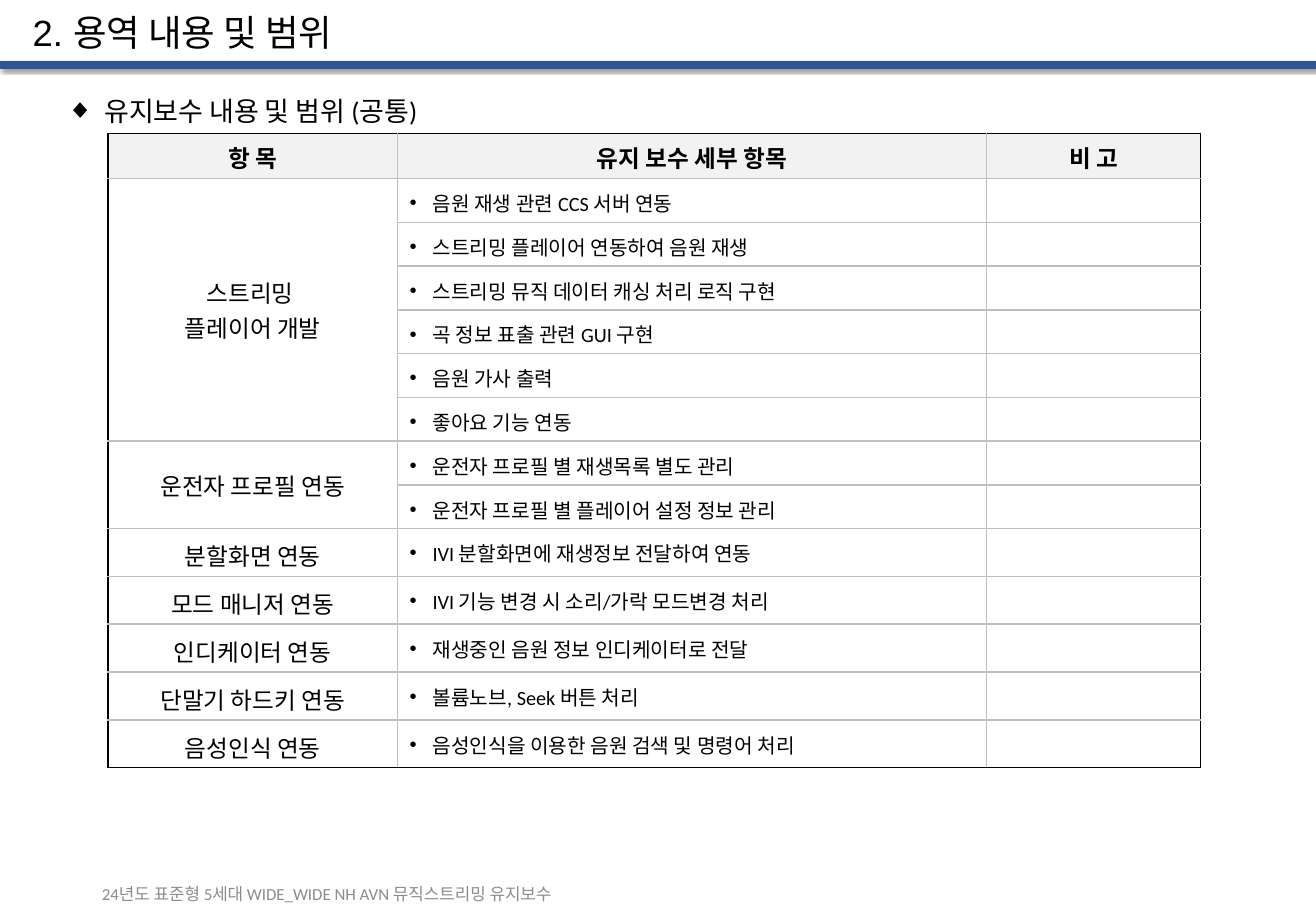
import pptx
import pptx.util
import pptx.dml.color
import pptx.enum.shapes
import pptx.enum.text
import pptx.oxml
import pptx.oxml.ns
import lxml.etree

Inches = pptx.util.Inches
Pt = pptx.util.Pt
ALIGN = pptx.enum.text.PP_ALIGN
MIDDLE = pptx.enum.text.MSO_ANCHOR.MIDDLE
qn = pptx.oxml.ns.qn

COLORS = {"bar": "2F5597", "text": "000000", "footer": "8C8C8C", "header": "F2F2F2",
          "body": "FFFFFF", "grid": "BFBFBF", "frame": "000000"}

HEADINGS = ["항 목", "유지 보수 세부 항목", "비 고"]
GROUPS = [
    (["스트리밍 ", "플레이어 개발"], [
        "음원 재생 관련 CCS 서버 연동",
        "스트리밍 플레이어 연동하여 음원 재생",
        "스트리밍 뮤직 데이터 캐싱 처리 로직 구현",
        "곡 정보 표출 관련 GUI 구현",
        "음원 가사 출력",
        "좋아요 기능 연동"]),
    (["운전자 프로필 연동"], [
        "운전자 프로필 별 재생목록 별도 관리",
        "운전자 프로필 별 플레이어 설정 정보 관리"]),
    (["분할화면 연동"], ["IVI 분할화면에 재생정보 전달하여 연동"]),
    (["모드 매니저 연동"], ["IVI 기능 변경 시 소리/가락 모드변경 처리"]),
    (["인디케이터 연동"], ["재생중인 음원 정보 인디케이터로 전달"]),
    (["단말기 하드키 연동"], ["볼륨노브, Seek 버튼 처리"]),
    (["음성인식 연동"], ["음성인식을 이용한 음원 검색 및 명령어 처리"]),
]
COLUMN_WIDTHS = [2.38, 4.85, 1.76]
HEADER_HEIGHT, ROW_HEIGHT = 0.37, 0.33


def rgb(name):
    return pptx.dml.color.RGBColor.from_string(COLORS[name])


def add_span(para, text, size, color="text", font="Calibri", bold=False):
    span = para.add_run()
    span.text = text
    span.font.size = Pt(size)
    span.font.name = font
    span.font.bold = bold
    span.font.color.rgb = rgb(color)


def set_bullet(para, symbol, indent):
    properties = para._p.get_or_add_pPr()
    properties.set("marL", str(Inches(indent)))
    properties.set("indent", str(-Inches(indent)))
    lxml.etree.SubElement(properties, qn("a:buFont"), typeface="Arial")
    lxml.etree.SubElement(properties, qn("a:buChar"), char=symbol)


def add_text(page, place, text, size, anchor=MIDDLE, **style):
    box = page.shapes.add_textbox(*(Inches(length) for length in place))
    box.text_frame.word_wrap = True
    box.text_frame.vertical_anchor = anchor
    para = box.text_frame.paragraphs[0]
    add_span(para, text, size, **style)
    return para


def add_title_bar(page):
    bar = page.shapes.add_shape(pptx.enum.shapes.MSO_SHAPE.RECTANGLE,
                                0, Inches(0.51), Inches(10.83), Inches(0.05))
    bar.fill.solid()
    bar.fill.fore_color.rgb = rgb("bar")
    bar.line.color.rgb = rgb("bar")
    bar.line.width = Pt(1)
    bar.shadow.inherit = False
    effects = bar._element.spPr.find(qn("a:effectLst"))
    shadow = lxml.etree.SubElement(effects, qn("a:outerShdw"), blurRad=str(Pt(2)),
                                   dist=str(Pt(2)), dir=str(45 * 60000))
    shade = lxml.etree.SubElement(shadow, qn("a:srgbClr"), val="000000")
    lxml.etree.SubElement(shade, qn("a:alpha"), val="40000")


def style_cell(cell, fill, edges):
    """Border the cell (black on the table's outer edges) and fill it."""
    properties = cell._tc.get_or_add_tcPr()
    for side in "LRTB":
        line = lxml.etree.SubElement(properties, qn("a:ln" + side), w=str(Pt(1)))
        solid = lxml.etree.SubElement(line, qn("a:solidFill"))
        color = COLORS["frame" if side in edges else "grid"]
        lxml.etree.SubElement(solid, qn("a:srgbClr"), val=color)
    cell.fill.solid()
    cell.fill.fore_color.rgb = rgb(fill)
    cell.vertical_anchor = MIDDLE
    # Keeps empty cells from stretching their row
    lxml.etree.SubElement(cell.text_frame.paragraphs[0]._p, qn("a:endParaRPr"), sz="1200")


def write_cell(cell, lines, size, bold=False, bullet=False, padding=0.05):
    cell.margin_top = cell.margin_bottom = Inches(padding)
    for index, text in enumerate(lines):
        frame = cell.text_frame
        para = frame.add_paragraph() if index else frame.paragraphs[0]
        if bullet:
            set_bullet(para, "•", 0.19)
        else:
            para.alignment = ALIGN.CENTER
        add_span(para, text, size, bold=bold)


def add_scope_table(page):
    row_count = 1 + sum(len(details) for _, details in GROUPS)
    height = HEADER_HEIGHT + ROW_HEIGHT * (row_count - 1)
    table = page.shapes.add_table(row_count, len(HEADINGS), Inches(0.89), Inches(1.1),
                                  Inches(sum(COLUMN_WIDTHS)), Inches(height)).table
    table.first_row = table.horz_banding = False
    for column, width in zip(table.columns, COLUMN_WIDTHS):
        column.width = Inches(width)

    # Grid, frame and fills
    last_row, last_column = row_count - 1, len(HEADINGS) - 1
    for r, row in enumerate(table.rows):
        row.height = Inches(ROW_HEIGHT if r else HEADER_HEIGHT)
        for c, cell in enumerate(row.cells):
            edges = (("L" if c == 0 else "") + ("R" if c == last_column else "")
                     + ("T" if r == 0 else "") + ("B" if r == last_row else ""))
            style_cell(cell, "body" if r else "header", edges)

    # Wording
    for c, heading in enumerate(HEADINGS):
        write_cell(table.cell(0, c), [heading], 14, bold=True)
    top = 1
    for item, details in GROUPS:
        bottom = top + len(details) - 1
        if bottom > top:
            table.cell(top, 0).merge(table.cell(bottom, 0))
        write_cell(table.cell(top, 0), item, 14, padding=0.08)
        for r, detail in enumerate(details, top):
            write_cell(table.cell(r, 1), [detail], 12, bullet=True, padding=0.08)
        top = bottom + 1


def main():
    deck = pptx.Presentation()
    deck.slide_width, deck.slide_height = Inches(10.83), Inches(7.5)
    page = deck.slides.add_slide(deck.slide_layouts[6])

    # Title and footer
    add_title_bar(page)
    title = add_text(page, (0.17, 0.06, 9.34, 0.45), "2. 용역 내용 및 범위", 21.6, font="Arial")
    title.line_spacing = 0.9
    add_text(page, (0.74, 7.23, 4.46, 0.26),
             "24년도 표준형 5세대 WIDE_WIDE NH AVN 뮤직스트리밍 유지보수", 10, color="footer")

    # Section heading and table
    section = add_text(page, (0.45, 0.73, 4.29, 0.37), "유지보수 내용 및 범위 (공통)", 16,
                       anchor=pptx.enum.text.MSO_ANCHOR.TOP)
    set_bullet(section, "◆", 0.31)
    add_scope_table(page)

    deck.save("out.pptx")


if __name__ == "__main__":
    main()
